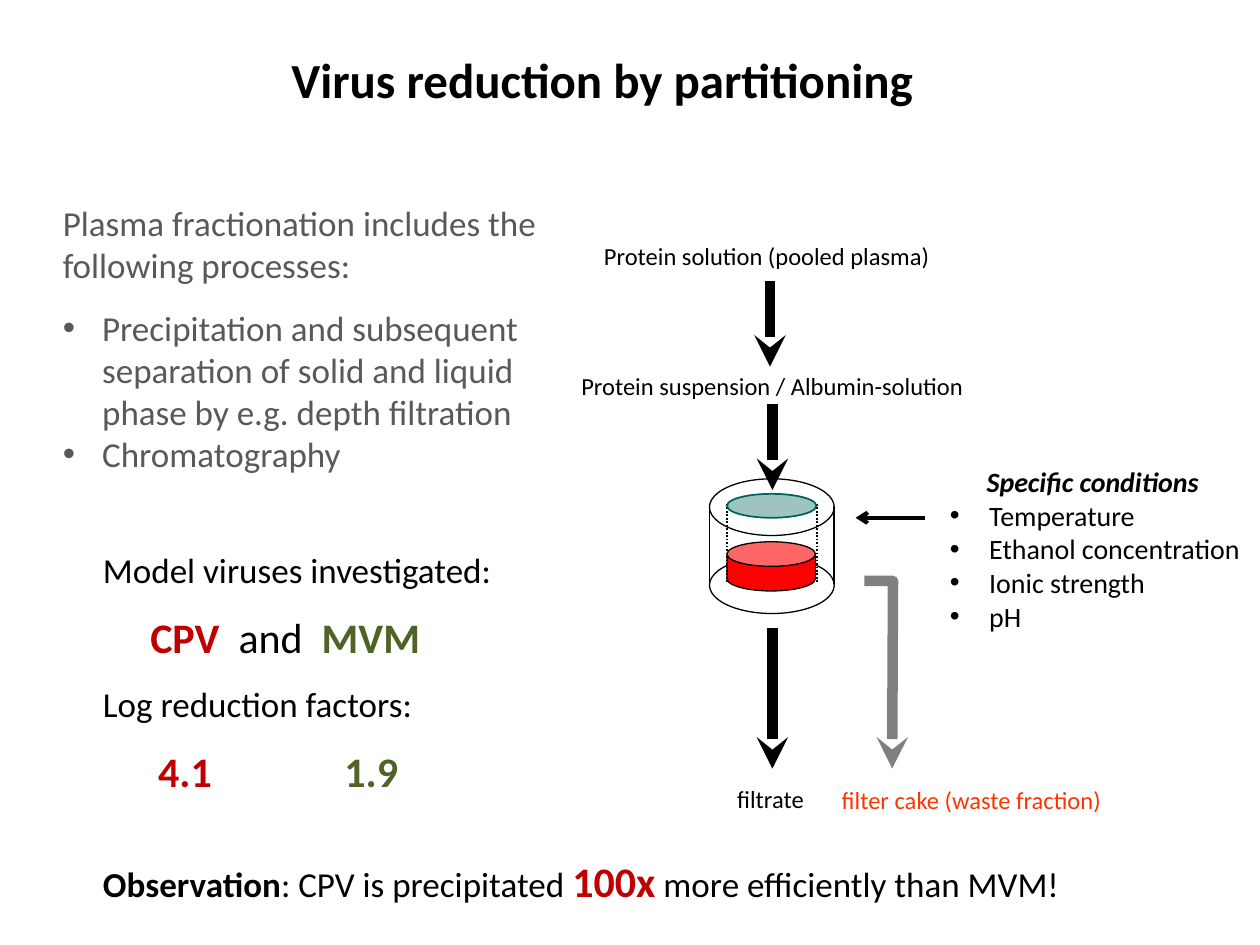
from lxml.etree import SubElement
from pptx import Presentation
from pptx.dml.color import RGBColor
from pptx.enum.dml import MSO_LINE_DASH_STYLE as Dash
from pptx.enum.shapes import MSO_CONNECTOR_TYPE as Link, MSO_SHAPE as Form
from pptx.enum.text import MSO_ANCHOR as Anchor, PP_ALIGN as Align
from pptx.oxml.ns import qn
from pptx.util import Pt

COLORS = {
    "black": "000000", "text": "595959", "gray": "808080", "red": "FF0000",
    "orange": "FF3300", "crimson": "C00000", "green": "4F6228",
    "teal": "9FC3C0", "teal_edge": "00625A",
}


class PageBuilder:
    """Draw styled text, lines and shapes on one page, in points."""

    def __init__(self, page, font="Calibri"):
        self.shapes = page.shapes
        self.font = font

    def color(self, name):
        return RGBColor.from_string(COLORS[name])

    def style(self, font, size=None, color=None, bold=None, italic=None):
        if size:
            font.size = Pt(size)
        if color:
            font.color.rgb = self.color(color)
        if bold is not None:
            font.bold = bold
        if italic is not None:
            font.italic = italic

    def para(self, para, spans, after=0, line=None, align=None,
             indent=0, bullet=False, tabs=(), **style):
        para.space_after = Pt(after)
        if line:
            para.line_spacing = line
        if align:
            para.alignment = align
        props = para._p.get_or_add_pPr()
        if indent:
            props.set("marL", str(Pt(indent)))
            props.set("indent", str(Pt(-indent if bullet else 0)))
        if bullet:
            SubElement(props, qn("a:buFont"), typeface="Arial")
            SubElement(props, qn("a:buChar"), char="•")
        if tabs:
            stops = SubElement(props, qn("a:tabLst"))
            for tab in tabs:
                SubElement(stops, qn("a:tab"), pos=str(Pt(tab)), algn="l")
        para.font.name = self.font
        self.style(para.font, **style)
        for text, span_style in spans:
            span = para.add_run()
            span.text = text
            self.style(span.font, **span_style)

    def text(self, left, top, width, height, paras, wrap=True, anchor=Anchor.TOP):
        box = self.shapes.add_textbox(Pt(left), Pt(top), Pt(width), Pt(height))
        frame = box.text_frame
        frame.word_wrap = wrap
        frame.vertical_anchor = anchor
        for index, (spans, options) in enumerate(paras):
            para = frame.add_paragraph() if index else frame.paragraphs[0]
            if isinstance(spans, str):
                spans = [(spans, {})]
            self.para(para, spans, **options)

    def label(self, left, top, width, words, color="black"):
        options = dict(size=14, color=color, line=1.1, align=Align.CENTER)
        self.text(left, top, width, 26, [(words, options)], wrap=False)

    def stroke(self, line, color, width, dash=None, head=None):
        line.color.rgb = self.color(color)
        line.width = Pt(width)
        if dash:
            line.dash_style = dash
        if head:
            SubElement(line._get_or_add_ln(), qn("a:tailEnd"), type=head)

    def line(self, start, end, width=1, dash=None, head=None):
        points = [Pt(value) for value in (*start, *end)]
        link = self.shapes.add_connector(Link.STRAIGHT, *points)
        self.stroke(link.line, "black", width, dash, head)
        SubElement(link._element.spPr, qn("a:effectLst"))

    def shape(self, form, left, top, width, height, fill=None, edge="black", weight=0.75):
        shape = self.shapes.add_shape(form, Pt(left), Pt(top), Pt(width), Pt(height))
        shape.shadow.inherit = False
        if fill:
            shape.fill.solid()
            shape.fill.fore_color.rgb = self.color(fill)
        else:
            shape.fill.background()
        self.stroke(shape.line, edge, weight)
        return shape

    def bent_arrow(self, points, color, width):
        start, *rest = [(Pt(x), Pt(y)) for x, y in points]
        outline = self.shapes.build_freeform(*start)
        outline.add_line_segments(rest, close=False)
        shape = outline.convert_to_shape()
        shape.shadow.inherit = False
        shape.fill.background()
        self.stroke(shape.line, color, width, head="stealth")


def draw_filter(page):
    for top in (273.6, 318.2):
        page.shape(Form.OVAL, 405.4, top, 71.3, 32.4)
    for x in (405.4, 476.7):
        page.line((x, 289.4), (x, 334))
    for x, top, bottom in ((440, 160.6, 209.5), (441.4, 231, 280), (441.4, 358.6, 439.2)):
        page.line((x, top), (x, bottom), 6, head="stealth")
    cake = page.shape(Form.CAN, 415.4, 309.6, 50.6, 28.1, "red")
    cake.adjustments[0] = 0.5
    for x in (415.4, 467):
        page.line((x, 288), (x, 332.6), dash=Dash.ROUND_DOT)
    page.shape(Form.OVAL, 415.4, 282.2, 51.1, 13.7, "teal", "teal_edge", 1)
    page.bent_arrow([(494, 332), (510.3, 332), (509.8, 439.2)], "gray", 6)
    page.line((528.5, 295.9), (488.9, 295.9), 2.25, head="arrow")


def draw_labels(page):
    page.label(337, 132.5, 202.3, "Protein solution (pooled plasma)")
    page.label(324, 206.6, 234.7, "Protein suspension / Albumin-solution")
    page.label(414, 442.8, 52.6, "filtrate")
    page.label(473, 443.5, 164.2, "filter cake (waste fraction)", "orange")


def draw_texts(page):
    page.text(20, 20, 648, 50, [
        ("Virus reduction by partitioning",
         dict(size=28, color="black", bold=True, align=Align.CENTER)),
    ], anchor=Anchor.MIDDLE)

    body = dict(size=20, color="text")
    item = dict(body, indent=22.5, bullet=True)
    page.text(28.8, 111.6, 311.8, 186.5, [
        ("Plasma fractionation includes the following processes:", dict(body, after=12)),
        ("Precipitation and subsequent separation of solid and liquid "
         "phase by e.g. depth filtration", item),
        ("Chromatography", item),
    ])

    heading = dict(size=20, color="black", after=12)
    figures = dict(size=24, after=12)
    crimson = dict(color="crimson", bold=True)
    green = dict(color="green", bold=True)
    page.text(51.8, 309.6, 249, 150.5, [
        ("Model viruses investigated:", heading),
        ([("\tCPV", crimson), ("\tand", dict(color="black")), ("\tMVM", green)],
         dict(figures, tabs=(27, 77.5, 125))),
        ("Log reduction factors:", heading),
        ([("\t4.1", crimson), ("\t1.9", green)], dict(figures, bold=True, tabs=(31.5, 138))),
    ])

    plain = dict(size=20, color="black")
    page.text(51.8, 485.3, 571, 36, [
        ([("Observation", dict(plain, bold=True)),
          (": CPV is precipitated ", plain),
          ("100x", dict(crimson, size=24)),
          (" more efficiently than MVM!", plain)], {}),
    ])

    small = dict(size=16, color="black")
    conditions = ("Temperature", "Ethanol concentration", "Ionic strength", "pH")
    page.text(535.7, 262, 184, 104.4, [
        ("Specific conditions", dict(small, bold=True, italic=True, indent=21)),
        *((name, dict(small, indent=22.5, bullet=True)) for name in conditions),
    ])


def main():
    deck = Presentation()
    deck.slide_width, deck.slide_height = Pt(720), Pt(540)
    page = PageBuilder(deck.slides.add_slide(deck.slide_layouts[6]))
    draw_filter(page)
    draw_labels(page)
    draw_texts(page)
    deck.save("out.pptx")


if __name__ == "__main__":
    main()
